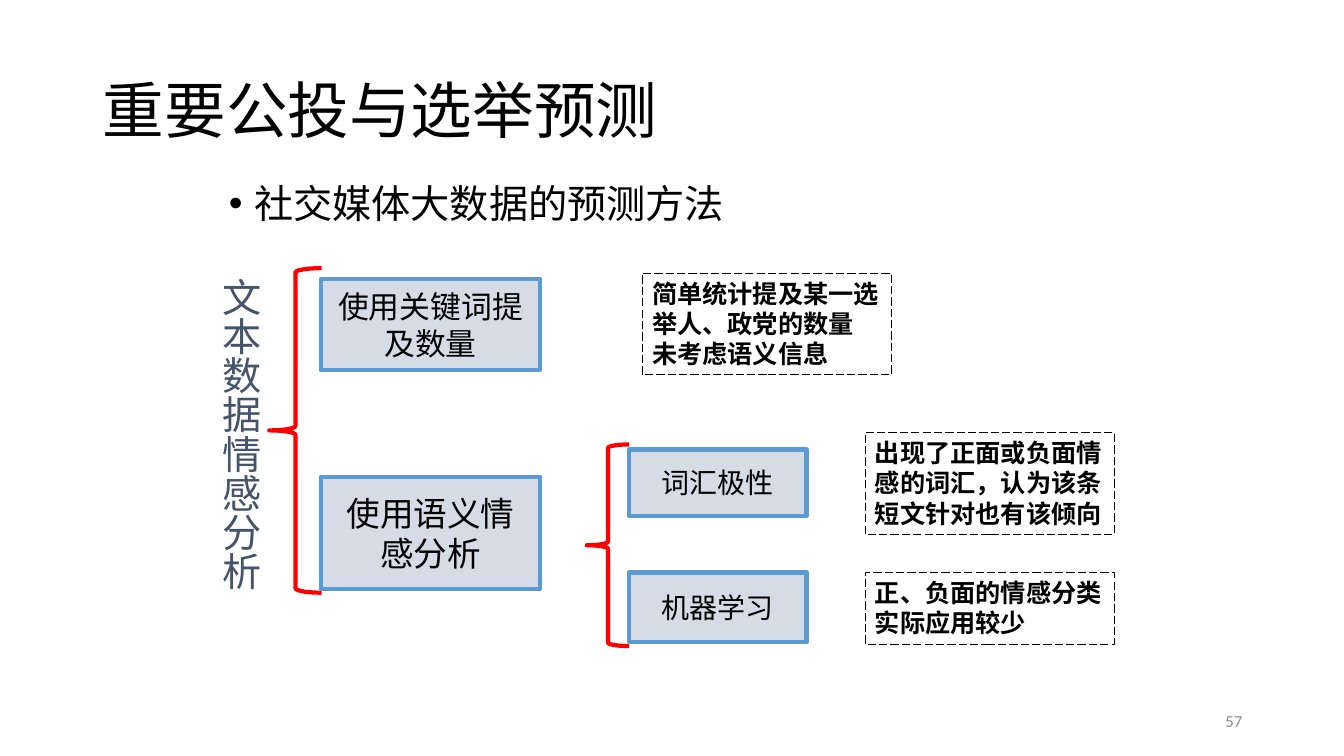
from lxml import etree
from pptx import Presentation
from pptx.dml.color import RGBColor
from pptx.enum.dml import MSO_LINE
from pptx.enum.shapes import MSO_SHAPE
from pptx.enum.text import MSO_ANCHOR, MSO_AUTO_SIZE, PP_ALIGN
from pptx.oxml.ns import qn
from pptx.util import Inches, Pt

RECT, BRACE = MSO_SHAPE.RECTANGLE, MSO_SHAPE.LEFT_BRACE
DASH = MSO_LINE.LONG_DASH
TOP, MIDDLE, BOTTOM = MSO_ANCHOR.TOP, MSO_ANCHOR.MIDDLE, MSO_ANCHOR.BOTTOM
LEFT, CENTER, RIGHT = PP_ALIGN.LEFT, PP_ALIGN.CENTER, PP_ALIGN.RIGHT
NO_FIT, GROW = MSO_AUTO_SIZE.NONE, MSO_AUTO_SIZE.SHAPE_TO_FIT_TEXT

COLORS = {"text": "000000", "side": "44546A", "page": "8C8C8C",
          "box": "D6DCE5", "edge": "5B9BD5", "brace": "FF0000"}
LATIN, CJK, SERIF = "Calibri", "Noto Sans CJK SC", "Times New Roman"

COL = {"side": 2, "brace": 2.67, "method": 3.18, "sub_brace": 5.82,
       "sub": 6.24, "count_note": 6.37, "note": 8.58}
METHOD_W, SUB_W, NOTE_W = 2.18, 1.76, 2.47


def write(shape, lines, size, font, color="text", align=LEFT, anchor=TOP, bold=False):
    tf = shape.text_frame
    tf.word_wrap = True
    tf.auto_size = NO_FIT
    tf.vertical_anchor = anchor
    for i, line in enumerate(lines):
        p = tf.add_paragraph() if i else tf.paragraphs[0]
        p.alignment = align
        r = p.add_run()
        r.text = line
        r.font.size = Pt(size)
        r.font.bold = bold
        r.font.name = font
        r.font.color.rgb = RGBColor.from_string(COLORS[color])
        etree.SubElement(r.font._element, qn("a:ea")).set("typeface", CJK)
    return tf


def outline(shapes, kind, box, color, width, fill=None):
    sp = shapes.add_shape(kind, *map(Inches, box))
    sp.shadow.inherit = False
    sp.line.color.rgb = RGBColor.from_string(COLORS[color])
    sp.line.width = Pt(width)
    if fill:
        sp.fill.solid()
        sp.fill.fore_color.rgb = RGBColor.from_string(COLORS[fill])
    else:
        sp.fill.background()
    return sp


prs = Presentation()
prs.slide_width, prs.slide_height = Inches(13.33), Inches(7.5)
s = prs.slides.add_slide(prs.slide_layouts[1])

title, body = s.placeholders
title.left, title.top, title.width, title.height = map(Inches, (0.92, 0.4, 11.5, 1.45))
tf = write(title, ["重要公投与选举预测"], 44, LATIN, anchor=MIDDLE)
tf.paragraphs[0].line_spacing = 0.9

body.left, body.top, body.width, body.height = map(Inches, (2.17, 1.15, 6.67, 1.15))
tf = write(body, ["社交媒体大数据的预测方法"], 28, LATIN, anchor=BOTTOM)
p = tf.paragraphs[0]
p.line_spacing = 0.9
p.space_before = Pt(10)
pPr = p._p.get_or_add_pPr()
pPr.set("marL", str(Inches(0.25)))
pPr.set("indent", str(-Inches(0.25)))
etree.SubElement(pPr, qn("a:buFont")).set("typeface", "Arial")
etree.SubElement(pPr, qn("a:buChar")).set("char", "•")

page = s.shapes.add_textbox(*map(Inches, (9.42, 6.95, 3, 0.4)))
write(page, ["57"], 12, LATIN, "page", RIGHT, MIDDLE)

branches = [
    ((COL["brace"], 2.66, 0.52, 3.22), COL["method"], METHOD_W,
     [("使用关键词提及数量", 2.77, 0.9, 22), ("使用语义情感分析", 4.73, 1.11, 24)]),
    ((COL["sub_brace"], 4.41, 0.42, 2), COL["sub"], SUB_W,
     [("词汇极性", 4.46, 0.66, 20), ("机器学习", 5.68, 0.69, 20)]),
]
for brace, left, width, boxes in branches:
    group = s.shapes.add_group_shape()
    outline(group.shapes, BRACE, brace, "brace", 3)
    for text, top, height, size in boxes:
        sp = outline(group.shapes, RECT, (left, top, width, height), "edge", 3, "box")
        write(sp, [text], size, CJK, align=CENTER, anchor=MIDDLE)

notes = [
    (COL["count_note"], 2.71, 1.01, CJK,
     ["简单统计提及某一选举人、政党的数量", "未考虑语义信息"]),
    (COL["note"], 4.29, 1.01, LATIN,
     ["出现了正面或负面情感的词汇，认为该条短文针对也有该倾向"]),
    (COL["note"], 5.68, 0.71, LATIN, ["正、负面的情感分类", "实际应用较少"]),
]
for left, top, height, font, lines in notes:
    sp = outline(s.shapes, RECT, (left, top, NOTE_W, height), "text", 0.75)
    sp.line.dash_style = DASH
    write(sp, lines, 18, font, bold=True).auto_size = GROW

side = s.shapes.add_textbox(*map(Inches, (COL["side"], 2.66, 0.67, 3.21)))
tf = write(side, ["文本数据情感分析"], 28, SERIF, "side", CENTER)
tf.word_wrap = False
tf.auto_size = GROW
tf._txBody.bodyPr.set("vert", "eaVert")

prs.save("out.pptx")
